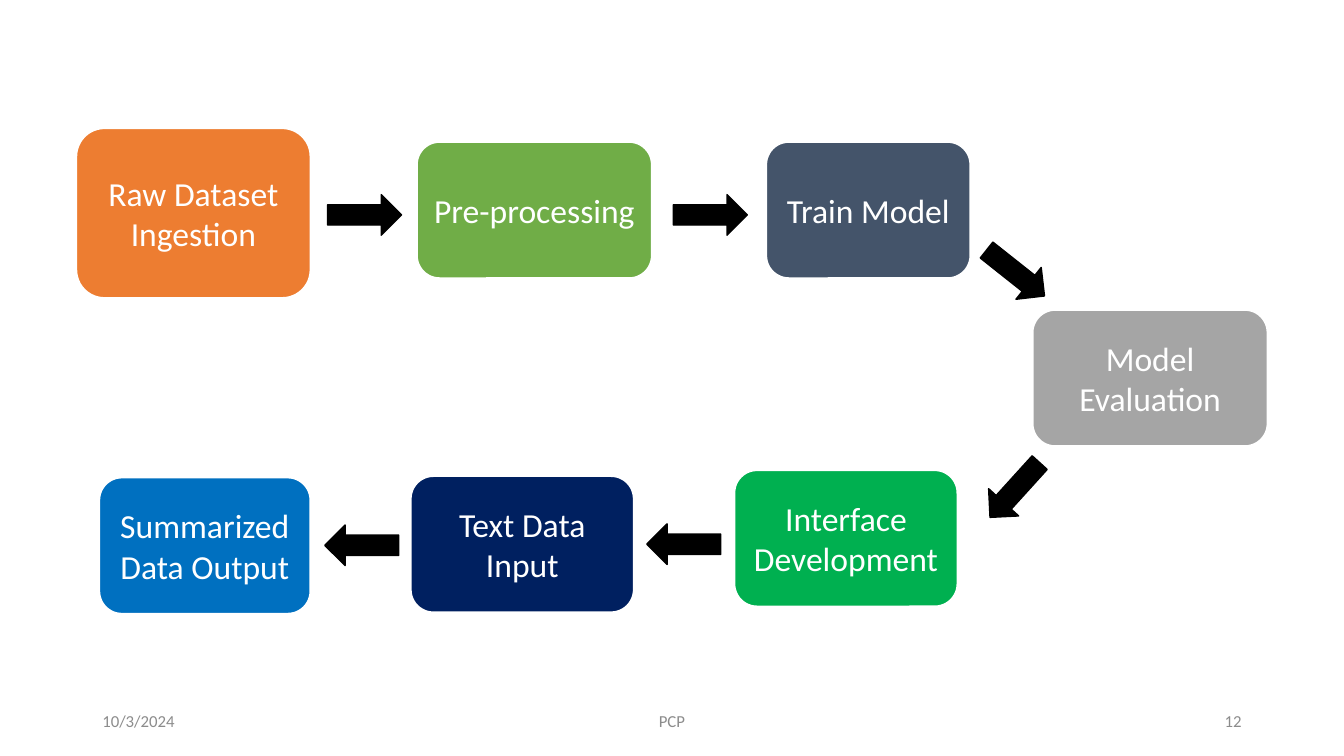
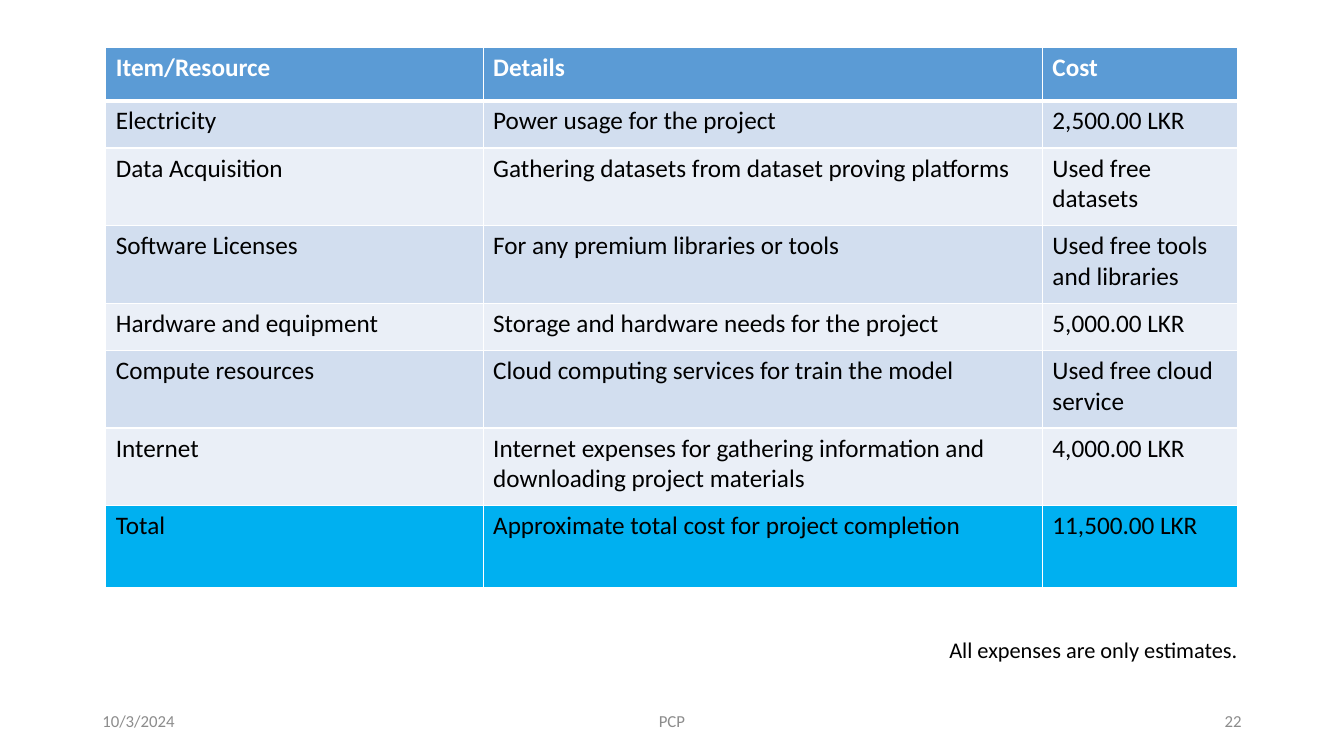
"""Build the project pipeline and cost estimate slides."""
from lxml.etree import SubElement
from pptx import Presentation
from pptx.dml.color import RGBColor
from pptx.enum.shapes import MSO_SHAPE
from pptx.enum.text import MSO_ANCHOR, PP_ALIGN
from pptx.oxml.ns import qn
from pptx.util import Pt

FONT = "Calibri"
WHITE = RGBColor(0xFF, 0xFF, 0xFF)
BLACK = RGBColor(0x00, 0x00, 0x00)
GRAY = RGBColor(0x8C, 0x8C, 0x8C)
ORANGE = RGBColor(0xED, 0x7D, 0x31)
OLIVE = RGBColor(0x70, 0xAD, 0x47)
SLATE = RGBColor(0x44, 0x54, 0x6A)
SILVER = RGBColor(0xA5, 0xA5, 0xA5)
GREEN = RGBColor(0x00, 0xB0, 0x50)
NAVY = RGBColor(0x00, 0x20, 0x60)
BLUE = RGBColor(0x00, 0x70, 0xC0)
HEADER = RGBColor(0x5B, 0x9B, 0xD5)
BAND_DARK = RGBColor(0xD2, 0xDE, 0xEF)
BAND_LIGHT = RGBColor(0xEA, 0xEF, 0xF7)
TOTAL = RGBColor(0x00, 0xB0, 0xF0)


def add_text(tf, text, size, color, align=PP_ALIGN.LEFT, bold=False):
    p = tf.paragraphs[0]
    p.alignment = align
    r = p.add_run()
    r.text = text
    r.font.name = FONT
    r.font.size = Pt(size)
    r.font.bold = bold
    r.font.color.rgb = color


def add_block(s, kind, left, top, width, height, fill, line, weight):
    sp = s.shapes.add_shape(kind, Pt(left), Pt(top), Pt(width), Pt(height))
    sp.shadow.inherit = False
    sp.fill.solid()
    sp.fill.fore_color.rgb = fill
    sp.line.color.rgb = line
    sp.line.width = Pt(weight)
    return sp


prs = Presentation()
prs.slide_width, prs.slide_height = Pt(960), Pt(540)

slides = []
for number in ("12", "22"):
    s = prs.slides.add_slide(prs.slide_layouts[6])
    for text, left, width, align in [
        ("10/3/2024", 66, 216, PP_ALIGN.LEFT),
        ("PCP", 318, 324, PP_ALIGN.CENTER),
        (number, 678, 216, PP_ALIGN.RIGHT),
    ]:
        tf = s.shapes.add_textbox(Pt(left), Pt(500.5), Pt(width), Pt(28.75)).text_frame
        tf.word_wrap = True
        tf.vertical_anchor = MSO_ANCHOR.MIDDLE
        add_text(tf, text, 12, GRAY, align)
    slides.append(s)
flow, costs = slides

steps = [
    ("Raw Dataset Ingestion", 54.4, 91.5, 167.5, 121.5, ORANGE),
    ("Pre-processing", 297.7, 101.3, 168, 97.5, OLIVE),
    ("Train Model", 547.2, 101.3, 146, 97.5, SLATE),
    ("Model Evaluation", 737.5, 221.3, 168, 97.5, SILVER),
    ("Interface Development", 524.5, 335.8, 159.5, 97.5, GREEN),
    ("Text Data Input", 293.3, 340, 159.5, 97.5, NAVY),
    ("Summarized Data Output", 70.8, 341, 151, 97.5, BLUE),
]
for text, left, top, width, height, color in steps:
    sp = add_block(flow, MSO_SHAPE.ROUNDED_RECTANGLE, left, top, width, height,
                   color, WHITE, 1.5)
    tf = sp.text_frame
    tf.word_wrap = True
    tf.vertical_anchor = MSO_ANCHOR.MIDDLE
    add_text(tf, text, 24, WHITE, PP_ALIGN.CENTER)

arrows = [
    (234, 139, 0),
    (481, 139, 0),
    (699, 180.5, 38.4),
    (698.5, 335.5, 132.2),
    (462, 374.2, 180),
    (232, 375, 180),
]
for left, top, angle in arrows:
    sp = add_block(flow, MSO_SHAPE.RIGHT_ARROW, left, top, 52.8, 29, BLACK, BLACK, 1)
    sp.rotation = angle

rows = [
    ("Item/Resource", "Details", "Cost"),
    ("Electricity", "Power usage for the project", "2,500.00 LKR"),
    ("Data Acquisition", "Gathering datasets from dataset proving platforms",
     "Used free datasets"),
    ("Software Licenses", "For any premium libraries or tools",
     "Used free tools and libraries"),
    ("Hardware and equipment", "Storage and hardware needs for the project",
     "5,000.00 LKR"),
    ("Compute resources", "Cloud computing services for train the model",
     "Used free cloud service"),
    ("Internet",
     "Internet expenses for gathering information and downloading project materials",
     "4,000.00 LKR"),
    ("Total", "Approximate total cost for project completion", "11,500.00 LKR"),
]
widths = [269.5, 399.5, 139.7]
heights = [38, 33.8, 55.4, 55.4, 33.8, 55.4, 55.4, 58.5]
fills = [HEADER] + [BAND_DARK, BAND_LIGHT] * 3 + [TOTAL]

frame = costs.shapes.add_table(len(rows), len(widths), Pt(75.6), Pt(34),
                               Pt(sum(widths)), Pt(sum(heights)))
table = frame.table
for col, width in zip(table.columns, widths):
    col.width = Pt(width)
for i, (row, height, fill) in enumerate(zip(rows, heights, fills)):
    table.rows[i].height = Pt(height)
    for j, text in enumerate(row):
        cell = table.cell(i, j)
        tcPr = cell._tc.get_or_add_tcPr()
        for side in ("lnL", "lnR", "lnT", "lnB"):
            thick = (i, side) in [(0, "lnB"), (1, "lnT")]
            ln = SubElement(tcPr, qn(f"a:{side}"), w=str(Pt(3 if thick else 1)))
            color = SubElement(SubElement(ln, qn("a:solidFill")), qn("a:srgbClr"))
            color.set("val", str(WHITE))
        cell.fill.solid()
        cell.fill.fore_color.rgb = fill
        add_text(cell.text_frame, text, 18, BLACK if i else WHITE, bold=i == 0)

tf = costs.shapes.add_textbox(Pt(671), Pt(450.7), Pt(223), Pt(26.6)).text_frame
tf.word_wrap = False
add_text(tf, "All expenses are only estimates.", 16, BLACK)

prs.save("out.pptx")
